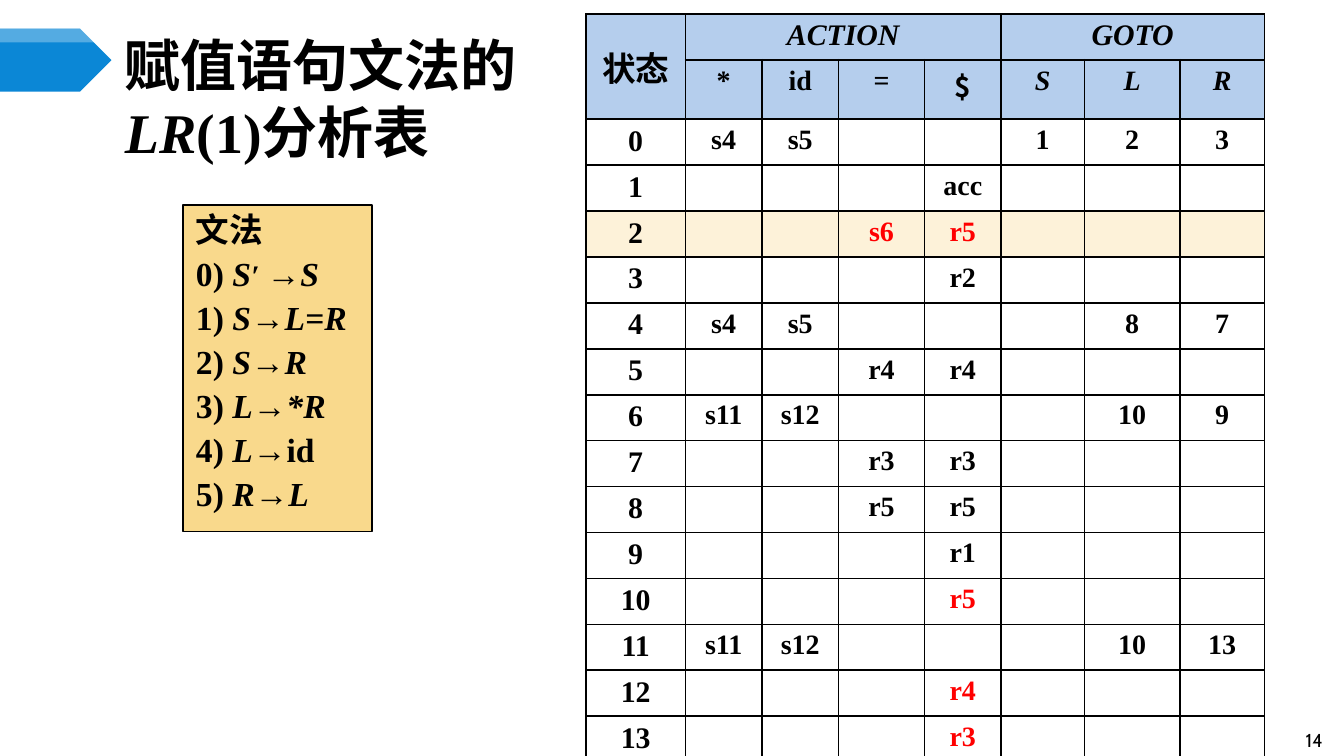
from dataclasses import dataclass
from lxml.etree import SubElement as sub
from pptx import Presentation
from pptx.dml.color import RGBColor as RGB
from pptx.enum.shapes import MSO_SHAPE as Kind
from pptx.enum.text import MSO_ANCHOR as Anchor, MSO_AUTO_SIZE as Fit, PP_ALIGN as Align
from pptx.oxml.ns import qn
from pptx.util import Inches, Pt


@dataclass(frozen=True)
class Theme:
    ink: str = "000000"
    red: str = "FF0000"
    blue: str = "0B87D6"
    white: str = "FFFFFF"
    head: str = "B5CEED"
    band: str = "FDF2D9"
    sand: str = "F9D98C"
    serif: str = "Times New Roman"
    han: str = "Noto Sans CJK SC"
    sans: str = "Cabin"
    title: int = 30
    label: int = 18
    state: int = 16
    entry: int = 15
    page: int = 10


T = Theme()
STEP = 0.1
WIDTHS = (7.4, 5.7, 5.7, 6.4, 5.7, 6.2, 7.1, 6.3)
ROW = 3.42
HEADS = ("*", "id", "=", "$", "S", "L", "R")
STATES = (
    {"*": "s4", "id": "s5", "S": "1", "L": "2", "R": "3"},
    {"$": "acc"},
    {"=": "s6", "$": "r5"},
    {"$": "r2"},
    {"*": "s4", "id": "s5", "L": "8", "R": "7"},
    {"=": "r4", "$": "r4"},
    {"*": "s11", "id": "s12", "L": "10", "R": "9"},
    {"=": "r3", "$": "r3"},
    {"=": "r5", "$": "r5"},
    {"$": "r1"},
    {"$": "r5"},
    {"*": "s11", "id": "s12", "L": "10", "R": "13"},
    {"$": "r4"},
    {"$": "r3"},
)
FOCUS = 2
RED = (2, 10, 12, 13)
RULES = (
    ("S", "′ ", "→S"),
    ("S→L=R",),
    ("S→R",),
    ("L→*R",),
    ("L→", "id"),
    ("R→L",),
)


def grid(*cells):
    return [Inches(n * STEP) for n in cells]


def face(font, name):
    font.name = name
    sub(font._rPr, qn("a:ea"), typeface=name)


def style(para, size, color=T.ink, bold=True, align=Align.LEFT):
    para.alignment = align
    para.font.size = Pt(size)
    para.font.bold = bold
    para.font.color.rgb = RGB.from_string(color)


def write(para, text, name=T.serif, slant=False):
    run = para.add_run()
    run.text = text
    run.font.italic = slant
    face(run.font, name)
    return run


def paint(fill, color):
    fill.solid()
    fill.fore_color.rgb = RGB.from_string(color)


def block(shapes, kind, place, color):
    shape = shapes.add_shape(kind, *grid(*place))
    shape.shadow.inherit = False
    paint(shape.fill, color)
    shape.line.fill.background()
    return shape


def badge(slide):
    shapes = slide.shapes.add_group_shape().shapes
    block(shapes, Kind.PENTAGON, (0, 2.13, 8.3, 4.7), T.blue)
    shine = block(shapes, Kind.PENTAGON, (0, 2.15, 8.3, 1), T.white)
    tone = shine.fill._xPr.find(qn("a:solidFill"))[0]
    sub(tone, qn("a:alpha"), val="30000")


def heading(slide):
    box = slide.shapes.title
    box.left, box.top, box.width, box.height = grid(8.3, 5.3, 86.7, 3.9)
    frame = box.text_frame
    frame.auto_size = Fit.NONE
    frame.vertical_anchor = Anchor.MIDDLE
    para = frame.paragraphs[0]
    style(para, T.title)
    write(para, "赋值语句文法的", T.han)
    para.add_line_break()
    write(para, "LR", slant=True)
    write(para, "(1)")
    write(para, "分析表", T.han)


def grammar(slide):
    box = block(slide.shapes, Kind.RECTANGLE, (13.6, 15.25, 14.1, 24.3), T.sand)
    box.line.color.rgb = RGB.from_string(T.ink)
    box.line.width = Pt(1)
    frame = box.text_frame
    frame.word_wrap = True
    frame.vertical_anchor = Anchor.TOP
    para = frame.paragraphs[0]
    write(para, "文法", T.han)
    for num, parts in enumerate(RULES):
        para = frame.add_paragraph()
        para.space_before = Pt(3.6)
        write(para, f"{num}) ")
        for part in parts:
            run = write(para, part, slant=part != "id")
            if part.startswith("′"):
                run.font.size = Pt(T.state)
    for para in frame.paragraphs:
        para.line_spacing = Pt(20)
        style(para, T.label)


def border(cell):
    props = cell._tc.get_or_add_tcPr()
    for side in ("lnL", "lnR", "lnT", "lnB"):
        line = sub(props, qn(f"a:{side}"), w=str(Pt(1)))
        sub(sub(line, qn("a:solidFill")), qn("a:srgbClr"), val=T.ink)


def fill_cell(cell, text, size=T.entry, color=T.ink, name=T.serif, slant=False):
    para = cell.text_frame.paragraphs[0]
    style(para, size, color, align=Align.CENTER)
    if text:
        write(para, text, name, slant)
    else:
        sub(para._p, qn("a:endParaRPr"), sz=str(size * 100))


def table(slide):
    rows = len(STATES) + 2
    place = grid(43.6, 1.03, sum(WIDTHS), ROW * rows)
    chart = slide.shapes.add_table(rows, len(WIDTHS), *place).table
    for col, width in zip(chart.columns, grid(*WIDTHS)):
        col.width = width
    for num, row in enumerate(chart.rows):
        row.height = grid(ROW)[0]
        for cell in row.cells:
            cell.margin_top = cell.margin_bottom = Inches(0.04)
            border(cell)
            if num < 2:
                paint(cell.fill, T.head)
            elif num == FOCUS + 2:
                paint(cell.fill, T.band)
            else:
                cell.fill.background()
    at = chart.cell
    at(0, 0).merge(at(1, 0))
    at(0, 1).merge(at(0, 4))
    at(0, 5).merge(at(0, 7))
    at(0, 0).vertical_anchor = Anchor.MIDDLE
    fill_cell(at(0, 0), "状态", T.label, name=T.han)
    fill_cell(at(0, 1), "ACTION", T.state, slant=True)
    fill_cell(at(0, 5), "GOTO", T.state, slant=True)
    for col, head in enumerate(HEADS, 1):
        name = T.han if head == "$" else T.serif
        fill_cell(at(1, col), head, name=name, slant=head in "SLR")
    for num, moves in enumerate(STATES):
        fill_cell(at(num + 2, 0), str(num), T.state)
        color = T.red if num in RED else T.ink
        for col, head in enumerate(HEADS, 1):
            fill_cell(at(num + 2, col), moves.get(head, ""), color=color)


def page(slide):
    frame = slide.shapes.add_textbox(*grid(95, 54.1, 4.4, 1.9)).text_frame
    frame.word_wrap = True
    frame.vertical_anchor = Anchor.MIDDLE
    para = frame.paragraphs[0]
    style(para, T.page, bold=False, align=Align.RIGHT)
    write(para, "14", T.sans)


def main():
    deck = Presentation()
    deck.slide_width, deck.slide_height = grid(100, 56.25)
    slide = deck.slides.add_slide(deck.slide_layouts[5])
    badge(slide)
    heading(slide)
    table(slide)
    grammar(slide)
    page(slide)
    deck.save("out.pptx")


if __name__ == "__main__":
    main()
